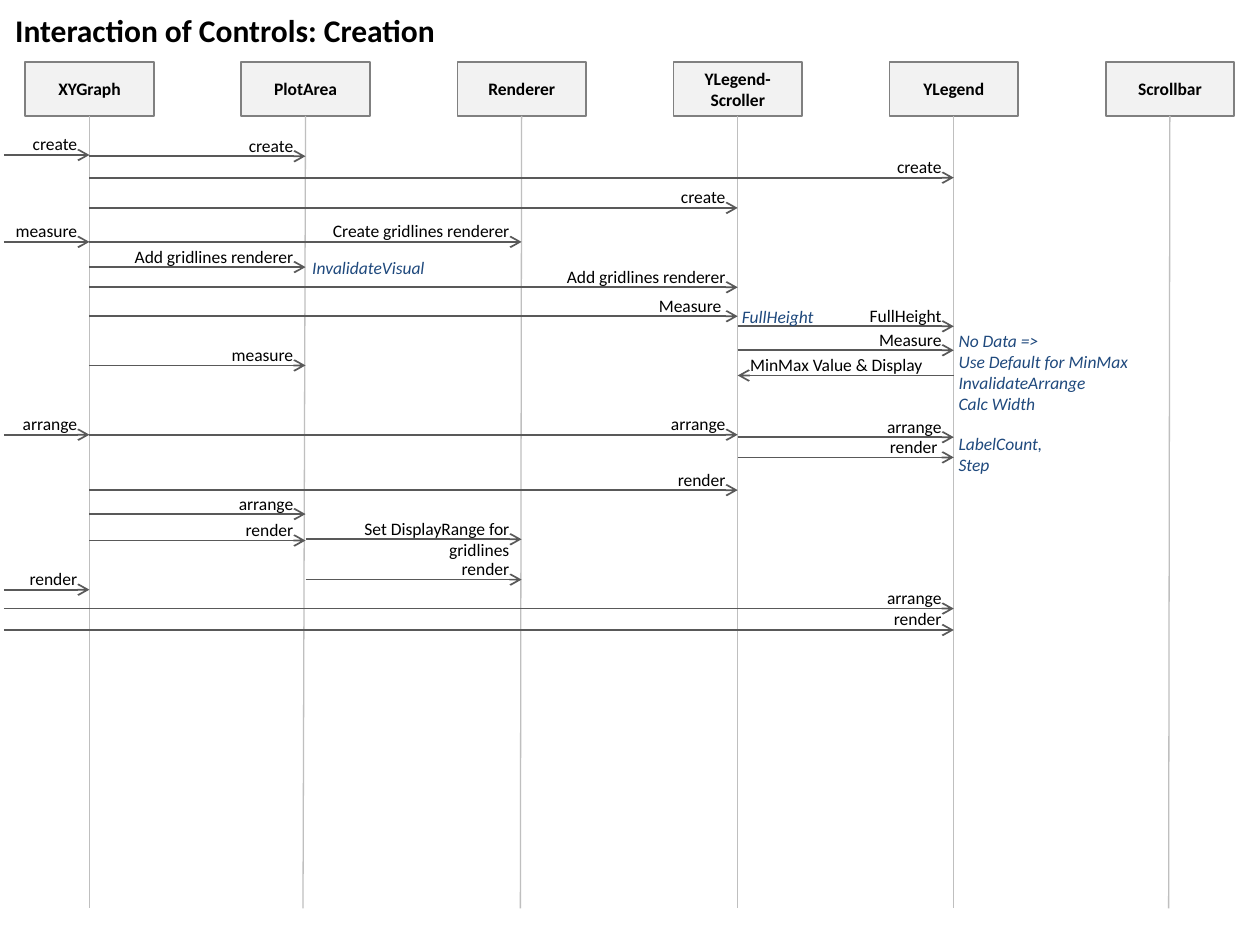
"""Build the sequence diagram slide on how controls interact at creation."""
from dataclasses import dataclass

from lxml import etree
from pptx import Presentation
from pptx import util as u
from pptx.dml.color import RGBColor
from pptx.enum import shapes, text
from pptx.oxml.ns import qn


@dataclass(frozen=True)
class Theme:
    font: str = "Calibri"
    title_size: int = 18
    body_size: int = 10
    ink: str = "000000"
    note: str = "1F497D"
    box: str = "F2F2F2"
    box_line: str = "808080"
    lifeline: str = "BFBFBF"
    arrow: str = "595959"


T = Theme()
TITLE = "Interaction of Controls: Creation"
HEADS = ["XYGraph", "PlotArea", "Renderer", "YLegend-\nScroller", "YLegend", "Scrollbar"]
FOOT_DRIFT = [0, -0.02, -0.01, 0, 0, -0.01]
CALLER, GRAPH, PLOT, RENDERER, SCROLLER, LEGEND = range(-1, 5)
# label, sender, receiver, y, label width
MESSAGES = [
    ("create", CALLER, GRAPH, 1.23, 0.71),
    ("create", GRAPH, PLOT, 1.24, 0.71),
    ("create", GRAPH, LEGEND, 1.41, 0.71),
    ("create", GRAPH, SCROLLER, 1.65, 0.71),
    ("measure", CALLER, GRAPH, 1.92, 0.71),
    ("Create gridlines renderer", GRAPH, RENDERER, 1.92, 2.05),
    ("Add gridlines renderer", GRAPH, PLOT, 2.12, 1.81),
    ("Add gridlines renderer", GRAPH, SCROLLER, 2.28, 1.81),
    ("Measure ", GRAPH, SCROLLER, 2.51, 5.16),
    ("FullHeight", SCROLLER, LEGEND, 2.59, 1.72),
    ("Measure", SCROLLER, LEGEND, 2.78, 1.72),
    ("measure", GRAPH, PLOT, 2.9, 1.81),
    ("MinMax Value & Display", LEGEND, SCROLLER, 2.98, 1.72),
    ("arrange", CALLER, GRAPH, 3.45, 0.71),
    ("arrange", GRAPH, SCROLLER, 3.45, 0.71),
    ("arrange", SCROLLER, LEGEND, 3.47, 1.8),
    ("render ", SCROLLER, LEGEND, 3.63, 1.8),
    ("render", GRAPH, SCROLLER, 3.89, 0.71),
    ("arrange", GRAPH, PLOT, 4.08, 1.71),
    ("Set DisplayRange for gridlines", PLOT, RENDERER, 4.28, 1.71),
    ("render", GRAPH, PLOT, 4.29, 1.81),
    ("render", PLOT, RENDERER, 4.6, 0.71),
    ("render", CALLER, GRAPH, 4.68, 0.71),
    ("arrange", CALLER, LEGEND, 4.83, 1.8),
    ("render", CALLER, LEGEND, 5, 1.8),
]
NOTES = [
    ("InvalidateVisual", 2.38, 1.99, 1.1),
    ("FullHeight", 5.79, 2.38, 0.78),
    ("No Data =>\nUse Default for MinMax\nInvalidateArrange\nCalc Width", 7.51, 2.57, 1.56),
    ("LabelCount,\nStep", 7.51, 3.39, 0.91),
]
LEFT, PITCH = 0.71, 1.715
BOX_W, BOX_H, BOX_TOP = 1.02, 0.43, 0.49
FOOT, LABEL_RISE, LINE_H = 7.21, 0.22, 0.17


def lifeline_x(i):
    return 0.03 if i == CALLER else LEFT + PITCH * i


def write(sp, words, color=T.ink, size=T.body_size, bold=False, italic=False,
          align=text.PP_ALIGN.LEFT):
    tf = sp.text_frame
    tf.text = words
    for p in tf.paragraphs:
        p.alignment = align
        f = p.font
        f.name, f.size, f.bold, f.italic = T.font, u.Pt(size), bold, italic
        f.color.rgb = RGBColor.from_string(color)
    return tf


def add_text(s, words, x, y, w, lines=1, wrap=True, **style):
    sp = s.shapes.add_textbox(*map(u.Inches, (x, y, w, 0.1 + LINE_H * lines)))
    tf = write(sp, words, **style)
    tf.word_wrap = wrap
    tf.auto_size = text.MSO_AUTO_SIZE.SHAPE_TO_FIT_TEXT


def add_line(s, x1, y1, x2, y2, color, width, arrow=False):
    cx = s.shapes.add_connector(shapes.MSO_CONNECTOR.STRAIGHT, *map(u.Inches, (x1, y1, x2, y2)))
    cx.line.color.rgb = RGBColor.from_string(color)
    cx.line.width = u.Pt(width)
    if arrow:
        etree.SubElement(cx.line._get_or_add_ln(), qn("a:tailEnd"), type="arrow")
    etree.SubElement(cx._element.spPr, qn("a:effectLst"))


def add_head(s, name, x):
    sp = s.shapes.add_shape(shapes.MSO_SHAPE.RECTANGLE,
                            *map(u.Inches, (x - BOX_W / 2, BOX_TOP, BOX_W, BOX_H)))
    sp.shadow.inherit = False
    sp.fill.solid()
    sp.fill.fore_color.rgb = RGBColor.from_string(T.box)
    sp.line.color.rgb = RGBColor.from_string(T.box_line)
    sp.line.width = u.Pt(1)
    tf = write(sp, name, bold=True, align=text.PP_ALIGN.CENTER)
    tf.vertical_anchor = text.MSO_ANCHOR.MIDDLE


def add_message(s, label, sender, receiver, y, w):
    x1, x2 = lifeline_x(sender), lifeline_x(receiver)
    forward = x2 > x1
    add_line(s, x1, y, x2, y, T.arrow, 1, arrow=True)
    add_text(s, label, x2 - w if forward else x2, y - LABEL_RISE, w,
             lines=2 if len(label) > 25 else 1,
             align=text.PP_ALIGN.RIGHT if forward else text.PP_ALIGN.LEFT)


def main():
    prs = Presentation()
    prs.slide_width, prs.slide_height = u.Inches(10), u.Inches(7.5)
    s = prs.slides.add_slide(prs.slide_layouts[5])
    title = s.shapes.title
    title.left, title.top, title.width, title.height = map(u.Inches, (0.02, 0.04, 3.56, 0.4))
    tf = write(title, TITLE, size=T.title_size, bold=True)
    tf.word_wrap = False
    tf.auto_size = text.MSO_AUTO_SIZE.SHAPE_TO_FIT_TEXT
    tf.vertical_anchor = text.MSO_ANCHOR.TOP
    for i, (name, drift) in enumerate(zip(HEADS, FOOT_DRIFT)):
        x = lifeline_x(i)
        add_head(s, name, x)
        add_line(s, x, BOX_TOP + BOX_H, x + drift, FOOT, T.lifeline, 0.75)
    for message in MESSAGES:
        add_message(s, *message)
    for words, x, y, w in NOTES:
        add_text(s, words, x, y, w, lines=words.count("\n") + 1, wrap=False,
                 color=T.note, italic=True)
    prs.save("out.pptx")


if __name__ == "__main__":
    main()
